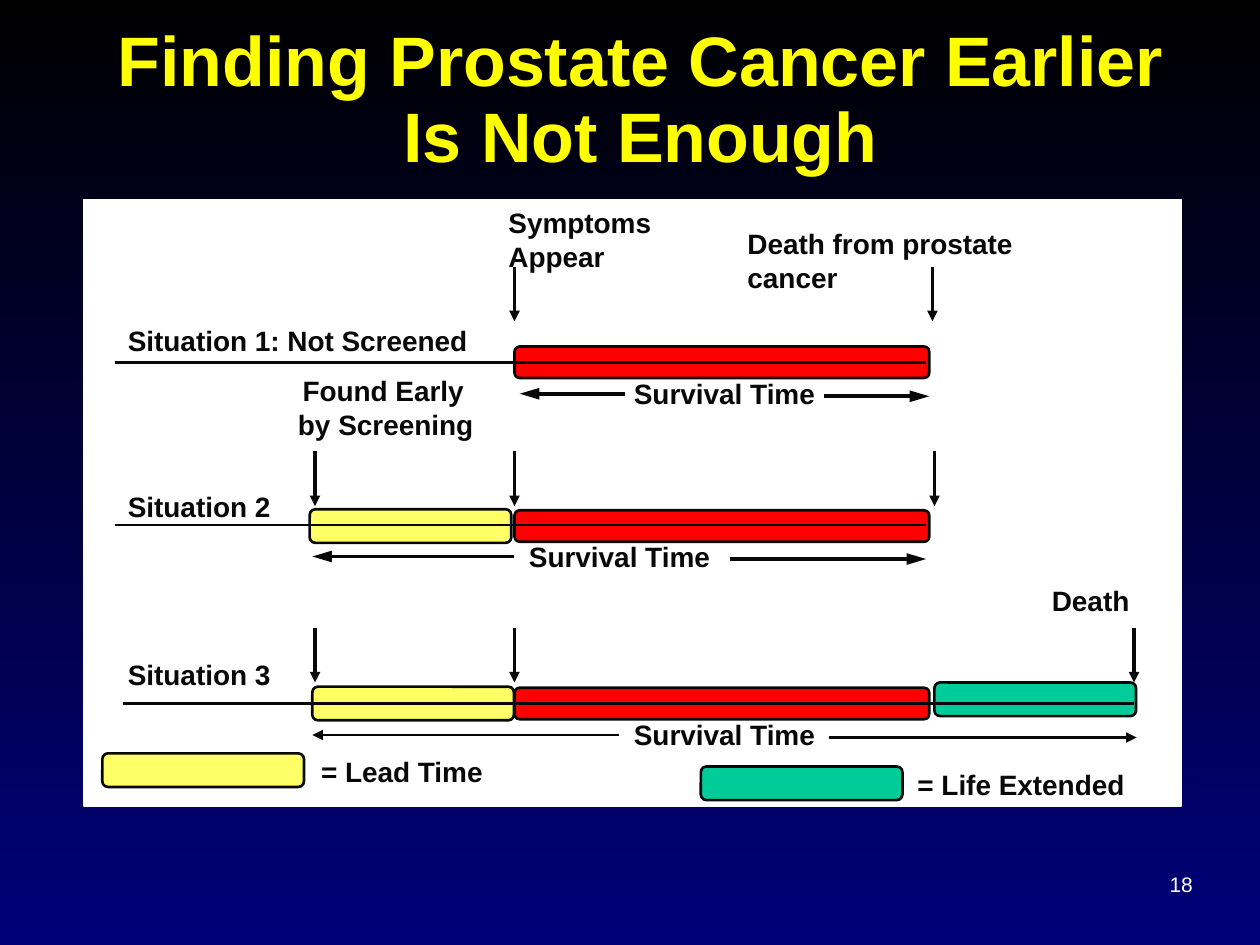
from lxml.etree import SubElement
from pptx import Presentation
from pptx.dml.color import RGBColor as RGB
from pptx.enum.shapes import MSO_CONNECTOR as LineKind, MSO_SHAPE as Preset
from pptx.enum.text import MSO_ANCHOR as Anchor, MSO_AUTO_SIZE as Fit, PP_ALIGN as Align
from pptx.oxml.ns import qn
from pptx.util import Inches, Pt

COLOURS = {
    "sky": "000000", "depth": "000078", "title": "FFFF00", "white": "FFFFFF",
    "ink": "080808", "survival": "FF0000", "lead": "FFFF66", "extended": "00CC99",
}
COLUMNS, ROWS = 120, 90
CELL = Inches(10) / COLUMNS
FOUND, SYMPTOMS, DEATH, LATE_DEATH = 30, 49, 89, 108
SURVIVAL_SIZE, SHORT_SIZE = (39.5, 3), (19.2, 3.2)


def grid(*cells):
    """Turn grid columns and rows into slide lengths."""
    return [round(cell * CELL) for cell in cells]


def colour(name):
    """Look up a named colour."""
    return RGB.from_string(COLOURS[name])


def style_text(paragraph, size, shade, bold=True, align=Align.LEFT):
    """Format a paragraph and its runs."""
    paragraph.alignment = align
    for run in paragraph.runs:
        run.font.name = "Arial"
        run.font.size = Pt(size)
        run.font.bold = bold
        run.font.color.rgb = colour(shade)


def add_label(slide, wording, box, align=Align.LEFT, size=16, shade="ink", bold=True):
    """Add a wrapped caption and return its paragraphs."""
    frame = slide.shapes.add_textbox(*grid(*box)).text_frame
    frame.word_wrap = True
    frame.text = wording
    for paragraph in frame.paragraphs:
        style_text(paragraph, size, shade, bold, align)
    return frame.paragraphs


def add_block(slide, preset, box, fill, outline, width):
    """Add a filled and outlined shape."""
    block = slide.shapes.add_shape(preset, *grid(*box))
    block.shadow.inherit = False
    block.fill.solid()
    block.fill.fore_color.rgb = colour(fill)
    block.line.color.rgb = colour(outline)
    block.line.width = Pt(width)


def add_bar(slide, left, top, period):
    """Add the rounded bar of one period."""
    size = SURVIVAL_SIZE if period == "survival" else SHORT_SIZE
    add_block(slide, Preset.ROUNDED_RECTANGLE, (left, top, *size), period, "ink", 1.5)


def add_line(slide, start, end, width, head_length=None):
    """Add a straight line, with an arrowhead at its end if a head length is given."""
    line = slide.shapes.add_connector(LineKind.STRAIGHT, *grid(*start, *end))
    line.line.color.rgb = colour("ink")
    line.line.width = Pt(width)
    if head_length:
        SubElement(line.line._get_or_add_ln(), qn("a:tailEnd"),
                   type="triangle", w="med", len=head_length)
    SubElement(line._element.spPr, qn("a:effectLst"))


def add_event(slide, column, row):
    """Add the arrow that points down at an event."""
    add_line(slide, (column, row), (column, row + 5.2), 2, "med")


def add_span(slide, left, right, gap, row, caption_left, width, head_length):
    """Add the survival time caption between two outward arrows."""
    gap_left, gap_right = gap
    add_line(slide, (gap_left, row), (left, row), width, head_length)
    add_line(slide, (gap_right, row + 0.24), (right, row + 0.24), width, head_length)
    add_label(slide, "Survival Time", (caption_left, row - 2.25, 23.8, 4.4), Align.CENTER)


def add_title(slide, wording):
    """Place and format the title placeholder."""
    title = slide.shapes.title
    title.left, title.top, title.width, title.height = grid(7, 3, 108, 13.4)
    frame = title.text_frame
    frame.text = wording
    frame.word_wrap = True
    frame.auto_size = Fit.NONE
    frame.vertical_anchor = Anchor.MIDDLE
    frame.paragraphs[0].line_spacing = 0.9
    style_text(frame.paragraphs[0], 40, "title", align=Align.CENTER)


def paint_background(slide):
    """Fill the background from black down to navy."""
    fill = slide.background.fill
    fill.gradient()
    fill.gradient_angle = 270
    for stop, name in zip(fill.gradient_stops, ("sky", "depth")):
        stop.color.rgb = colour(name)


def add_timelines(slide):
    """Draw the three situations with their bars, axes and spans."""
    for left, top, period in [
        (SYMPTOMS, 33, "survival"),
        (SYMPTOMS, 48.6, "survival"), (29.5, 48.5, "lead"),
        (SYMPTOMS, 65.5, "survival"), (29.75, 65.4, "lead"), (DEATH, 65, "extended"),
        (9.75, 71.75, "lead"), (66.75, 73, "extended"),
    ]:
        add_bar(slide, left, top, period)
    for name, left, right, row, caption_top in [
        ("Situation 1: Not Screened", 11, 88.2, 34.5, 30.25),
        ("Situation 2", 11, 88.2, 50, 46),
        ("Situation 3", 11.75, LATE_DEATH, 67, 62),
    ]:
        add_line(slide, (left, row), (right, row), 1.5)
        add_label(slide, name, (11, caption_top, 36, 4.4))
    add_span(slide, 49.5, 88.5, (59.5, 78.5), 37.5, 57.1, 2.25, "lg")
    add_span(slide, 29.75, 88.2, (49, 69.5), 53, 47.1, 2.25, "lg")
    add_span(slide, 29.75, 108.25, (59, 79), 70, 57.1, 1.5, "med")


def add_events(slide):
    """Mark and name the events along the timelines."""
    for row, columns in [
        (25.4, (SYMPTOMS, DEATH - 0.2)),
        (43, (FOUND, SYMPTOMS, DEATH)),
        (59.8, (FOUND, SYMPTOMS, LATE_DEATH)),
    ]:
        for column in columns:
            add_event(slide, column, row)
    add_label(slide, "Symptoms Appear", (47.25, 19, 17.3, 7.7))
    add_label(slide, "Death from prostate cancer", (70, 21, 34, 7.7))
    add_label(slide, "Death", (99, 55, 11.3, 4.4))
    found, screening = add_label(slide, "Found Early\nby Screening", (17, 35, 39, 7.7))
    found.alignment = Align.CENTER
    screening._p.get_or_add_pPr().set("marL", str(*grid(10.2)))


def main():
    """Build and save the slide."""
    deck = Presentation()
    deck.slide_width, deck.slide_height = grid(COLUMNS, ROWS)
    slide = deck.slides.add_slide(deck.slide_layouts[5])
    paint_background(slide)
    add_title(slide, "Finding Prostate Cancer Earlier Is Not Enough")
    add_block(slide, Preset.RECTANGLE, (8, 19, 104.5, 57.75), "white", "white", 1)
    add_timelines(slide)
    add_events(slide)
    add_label(slide, "= Lead Time", (29.4, 71.25, 23.8, 4.4))
    add_label(slide, "= Life Extended", (86.2, 72.5, 23.8, 4.4))
    add_label(slide, "18", (110, 82.4, 5, 3.6), Align.CENTER, 12, "white", False)
    deck.save("out.pptx")


if __name__ == "__main__":
    main()
